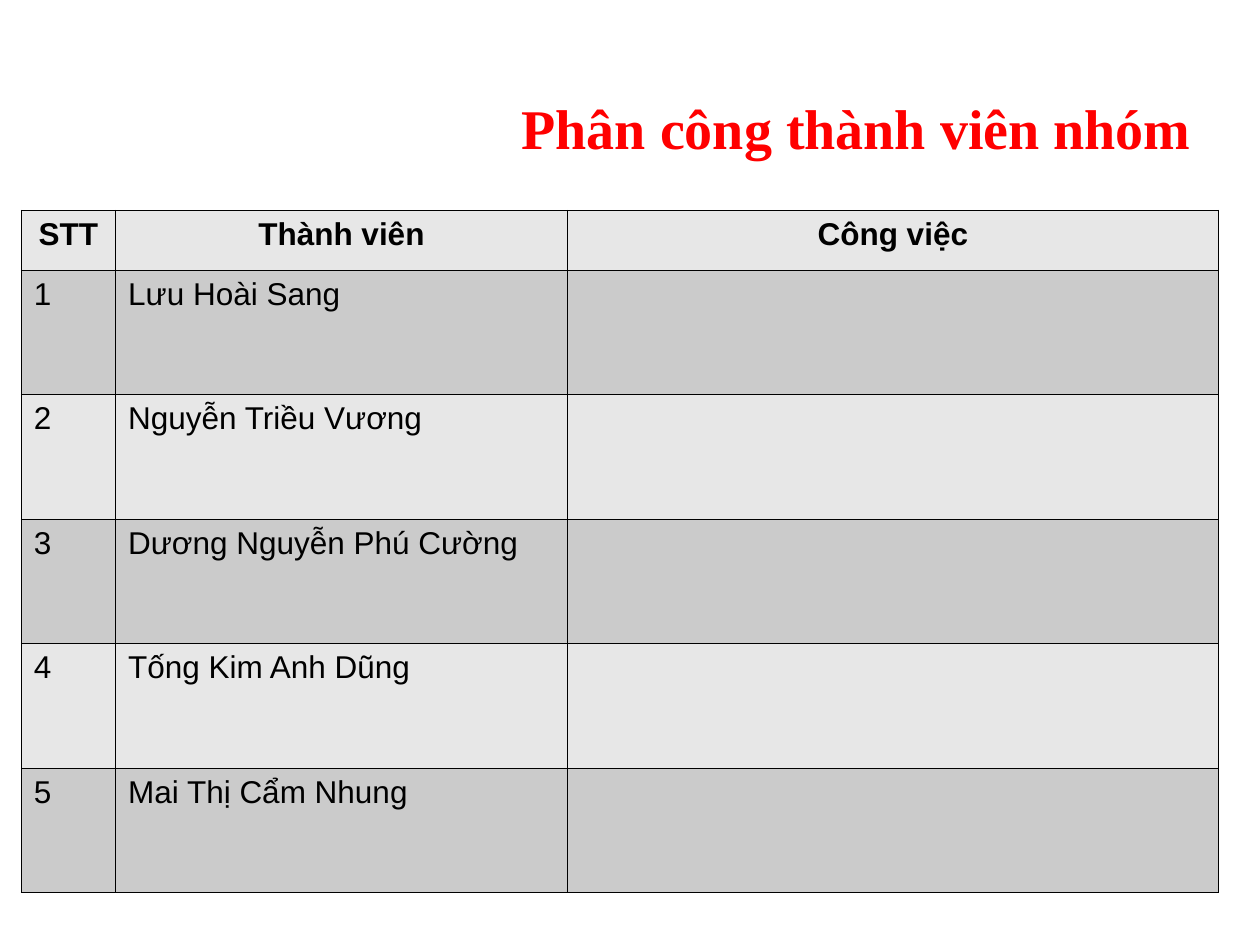
from lxml import etree
from pptx import Presentation
from pptx.dml.color import RGBColor
from pptx.enum.text import MSO_ANCHOR, MSO_AUTO_SIZE, PP_ALIGN
from pptx.oxml.ns import qn
from pptx.util import Cm, Pt

TOP = MSO_ANCHOR.TOP
NO_AUTOFIT = MSO_AUTO_SIZE.NONE
LEFT, CENTER = PP_ALIGN.LEFT, PP_ALIGN.CENTER

RED = RGBColor(0xFF, 0x00, 0x00)
BLACK = RGBColor(0x00, 0x00, 0x00)
LIGHT_GRAY = RGBColor(0xE7, 0xE7, 0xE7)
DARK_GRAY = RGBColor(0xCB, 0xCB, 0xCB)

TITLE = "Phân công thành viên nhóm"
HEADERS = ["STT", "Thành viên", "Công việc"]
MEMBERS = [
    "Lưu Hoài Sang",
    "Nguyễn Triều Vương",
    "Dương Nguyễn Phú Cường",
    "Tống Kim Anh Dũng",
    "Mai Thị Cẩm Nhung",
]

COLUMN_WIDTHS = [Cm(1.9), Cm(9.11), Cm(13.12)]
HEADER_HEIGHT = Cm(1.21)
MEMBER_HEIGHT = Cm(2.51)
BORDER_WIDTH = Pt(0.45)


def set_font(font, name, size, color, bold):
    font.name = name
    font.size = Pt(size)
    font.color.rgb = color
    font.bold = bold


def add_borders(cell):
    """Draw a thin line on all four sides; borders must precede the fill."""
    properties = cell._tc.get_or_add_tcPr()
    for position, side in enumerate(("a:lnL", "a:lnR", "a:lnT", "a:lnB")):
        line = etree.Element(qn(side), w=str(int(BORDER_WIDTH)))
        fill = etree.SubElement(line, qn("a:solidFill"))
        etree.SubElement(fill, qn("a:srgbClr"), val=str(BLACK))
        properties.insert(position, line)


def add_title(slide):
    title = slide.shapes.title
    title.left, title.top = Cm(10.26), Cm(1.75)
    title.width, title.height = Cm(14.7), Cm(1.63)
    frame = title.text_frame
    frame.text = TITLE
    frame.auto_size = NO_AUTOFIT
    frame.vertical_anchor = TOP
    paragraph = frame.paragraphs[0]
    paragraph.alignment = LEFT
    set_font(paragraph.font, "Times New Roman", 32, RED, True)


def add_member_table(slide):
    rows = [HEADERS]
    rows += [[str(number), name, ""] for number, name in enumerate(MEMBERS, 1)]
    height = HEADER_HEIGHT + MEMBER_HEIGHT * len(MEMBERS)
    table = slide.shapes.add_table(
        len(rows), len(HEADERS), Cm(0.43), Cm(4.24), sum(COLUMN_WIDTHS), height
    ).table
    for column, width in zip(table.columns, COLUMN_WIDTHS):
        column.width = width

    for row_index, texts in enumerate(rows):
        is_header = row_index == 0
        table.rows[row_index].height = HEADER_HEIGHT if is_header else MEMBER_HEIGHT
        for column_index, text in enumerate(texts):
            cell = table.cell(row_index, column_index)
            cell.text = text
            cell.fill.solid()
            cell.fill.fore_color.rgb = DARK_GRAY if row_index % 2 else LIGHT_GRAY
            add_borders(cell)
            paragraph = cell.text_frame.paragraphs[0]
            paragraph.alignment = CENTER if is_header else LEFT
            set_font(paragraph.font, "Arial", 18, BLACK, is_header)


def main():
    presentation = Presentation()
    presentation.slide_width, presentation.slide_height = Cm(25.4), Cm(19.05)
    slide = presentation.slides.add_slide(presentation.slide_layouts[5])
    add_title(slide)
    add_member_table(slide)
    presentation.save("out.pptx")


if __name__ == "__main__":
    main()
